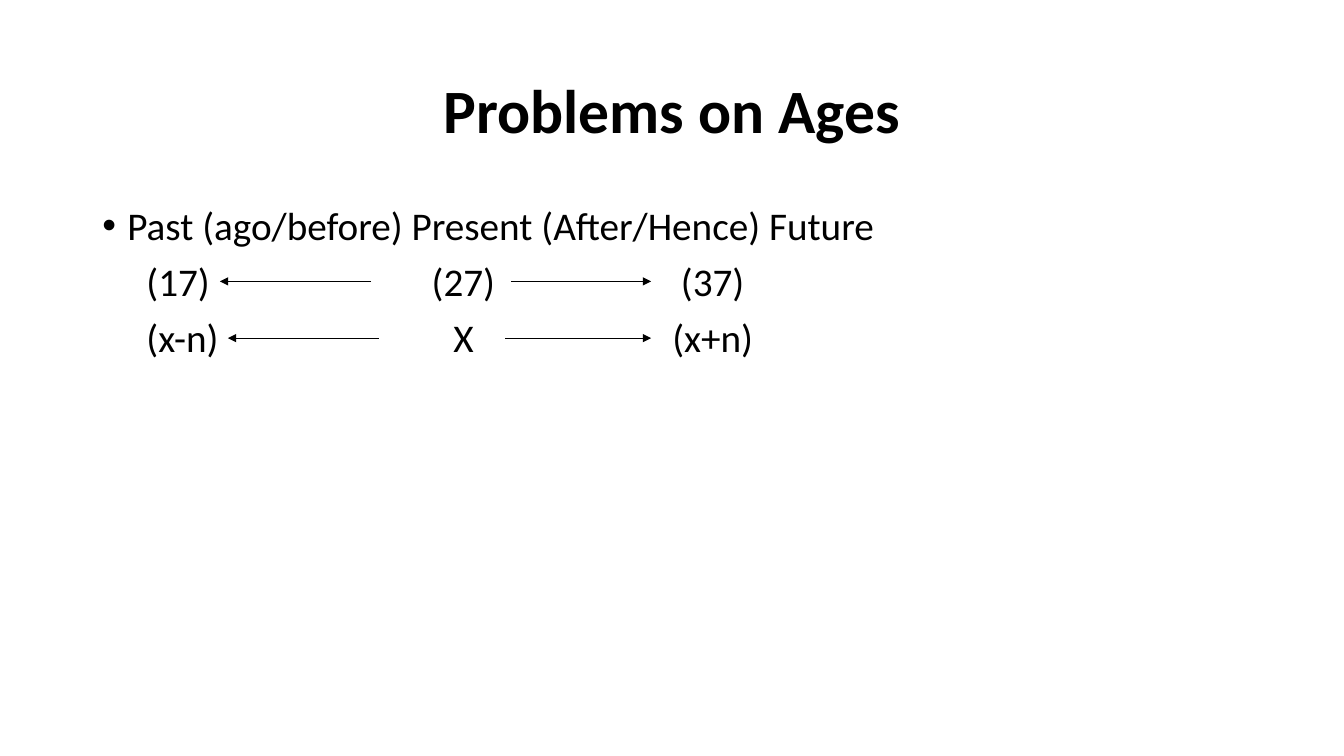
from lxml import etree
from pptx import Presentation
from pptx import util as u
from pptx.dml import color
from pptx.enum import shapes, text
from pptx.oxml import ns

INK = "000000"


def rgb(value):
    return color.RGBColor.from_string(value)


def add_xml(parent, tag, **attributes):
    return etree.SubElement(parent, ns.qn(tag), attributes)


class SlideBuilder:
    font = "Calibri"
    line_width = u.Pt(0.5)

    def __init__(self, page):
        self.page = page

    def text_box(self, left, top, width, height, anchor=text.MSO_ANCHOR.TOP):
        box = self.page.shapes.add_textbox(u.Cm(left), u.Cm(top), u.Cm(width), u.Cm(height))
        frame = box.text_frame
        frame.word_wrap = True
        frame.vertical_anchor = anchor
        return frame

    def fill_para(self, para, words, size, bold=False, align=text.PP_ALIGN.LEFT, before=0):
        para.add_run().text = words
        para.alignment = align
        para.line_spacing = 0.9
        para.space_before = u.Pt(before)
        para.font.name = self.font
        para.font.size = u.Pt(size)
        para.font.bold = bold
        para.font.color.rgb = rgb(INK)

    def bullet(self, para, indent):
        props = para._p.get_or_add_pPr()
        props.set("marL", str(u.Cm(indent)))
        props.set("indent", str(-u.Cm(indent)))
        add_xml(props, "a:buFont", typeface="Arial")
        add_xml(props, "a:buChar", char="•")

    def tab_stops(self, para, stops):
        tabs = add_xml(para._p.get_or_add_pPr(), "a:tabLst")
        for position, align in stops:
            add_xml(tabs, "a:tab", pos=str(u.Cm(position)), algn=align)

    def arrow(self, start, end, y):
        arrow = self.page.shapes.add_connector(
            shapes.MSO_CONNECTOR.STRAIGHT, u.Cm(start), u.Cm(y), u.Cm(end), u.Cm(y))
        arrow.line.color.rgb = rgb(INK)
        arrow.line.width = self.line_width
        props = arrow._element.spPr
        add_xml(props.find(ns.qn("a:ln")), "a:tailEnd", type="triangle")
        add_xml(props, "a:effectLst")


def main():
    deck = Presentation()
    deck.slide_width, deck.slide_height = u.Cm(33.87), u.Cm(19.05)
    builder = SlideBuilder(deck.slides.add_slide(deck.slide_layouts[6]))

    # Title
    title = builder.text_box(2.33, 1.01, 29.21, 3.68, text.MSO_ANCHOR.MIDDLE)
    builder.fill_para(title.paragraphs[0], "Problems on Ages", 44, True, text.PP_ALIGN.CENTER)

    # Timeline heading and the rows of ages below it
    body = builder.text_box(2.33, 5.07, 29.21, 12.09)
    heading = body.paragraphs[0]
    builder.bullet(heading, 0.63)
    builder.fill_para(heading, "Past (ago/before) Present (After/Hence) Future", 28, before=10)
    columns = [(1.11, "l"), (9.1, "ctr"), (15.38, "ctr")]
    for ages in (("(17)", "(27)", "(37)"), ("(x-n)", "X", "(x+n)")):
        row = body.add_paragraph()
        builder.tab_stops(row, columns)
        builder.fill_para(row, "".join("\t" + age for age in ages), 28, before=10)

    # Arrows from the present to the past and to the future
    for y, past_start, past_end, future_start in ((7.09, 9.35, 5.54, 12.88),
                                                  (8.52, 9.55, 5.74, 12.73)):
        builder.arrow(past_start, past_end, y)
        builder.arrow(future_start, 16.41, y)

    deck.save("out.pptx")


if __name__ == "__main__":
    main()
